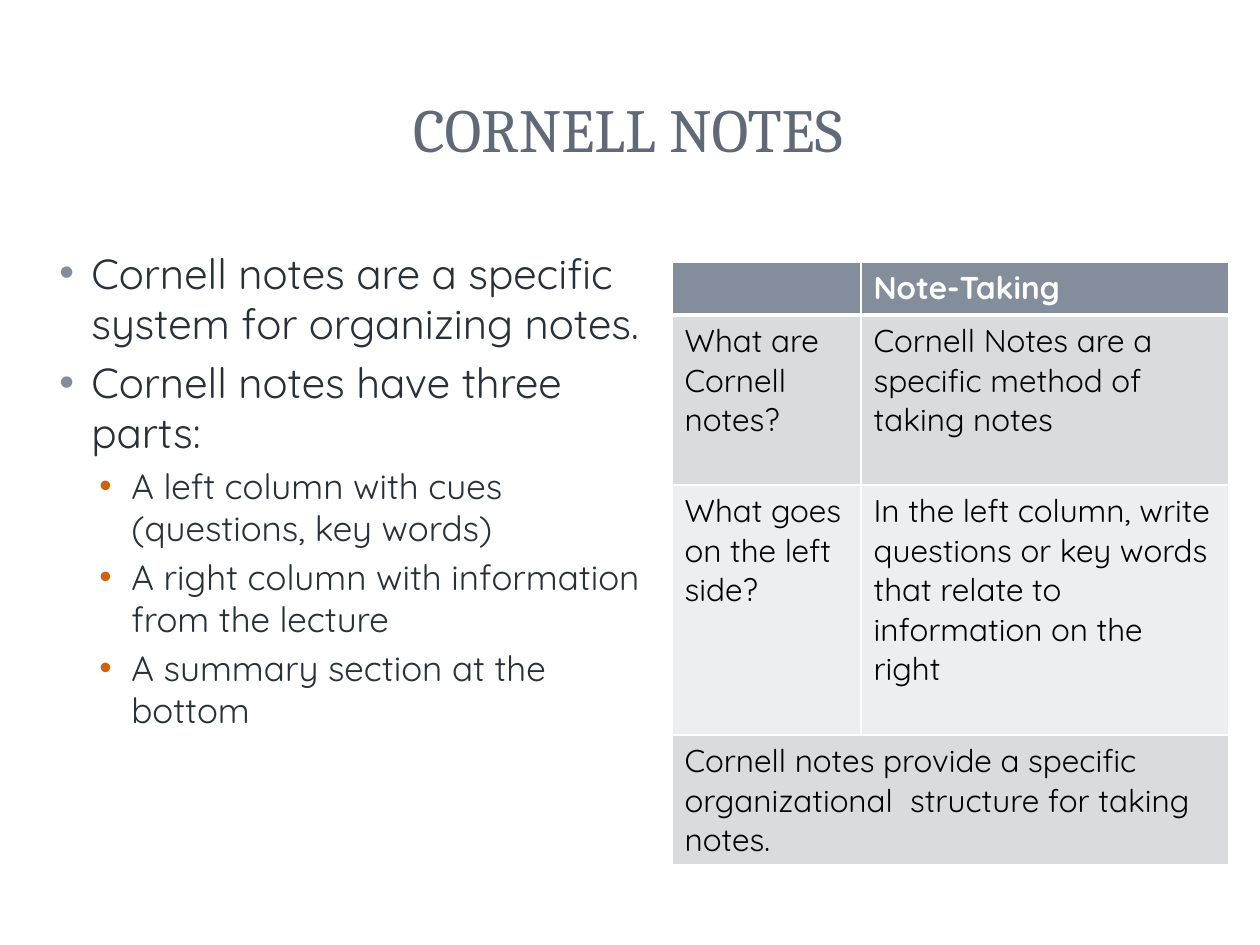
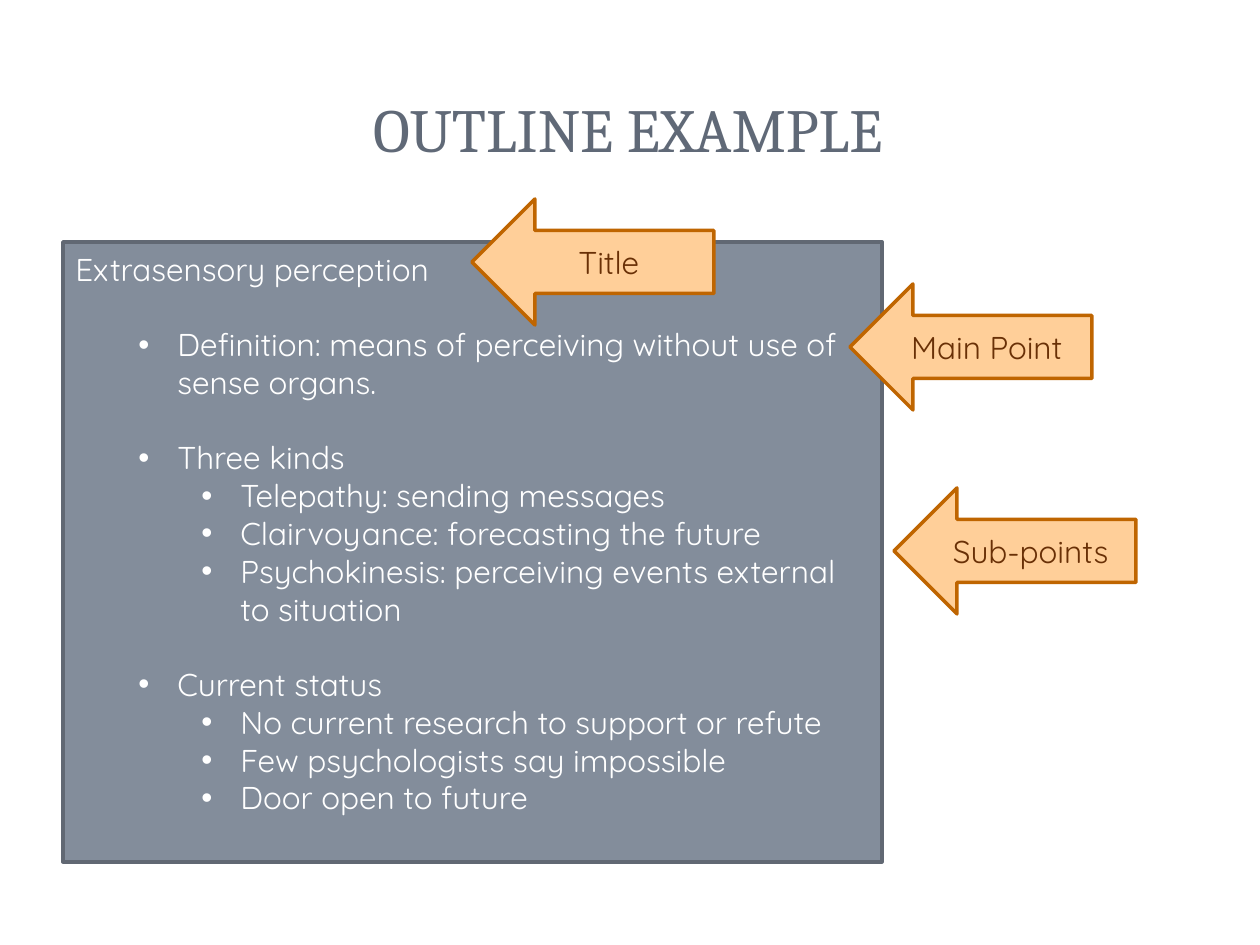
from lxml.etree import SubElement
from pptx import Presentation
from pptx.dml.color import RGBColor
from pptx.enum.shapes import MSO_SHAPE as Shape
from pptx.enum.text import MSO_ANCHOR as Anchor, PP_ALIGN as Align
from pptx.oxml.ns import qn
from pptx.util import Emu, Pt

PX = 914400 / 126
HEAD_FONT = "Cambria"
BODY_FONT = "Quicksand"
COLORS = {
    "white": "FFFFFF", "black": "000000", "title": "606977", "body": "283138",
    "slate": "838D9B", "slate_edge": "616873", "rust": "D2610C",
    "row_dark": "D9DBDE", "row_light": "EDEEEF",
    "arrow": "FFCF99", "arrow_edge": "BF6500", "arrow_text": "693006",
}
PAGE_BOX = (13, 14, 1235, 919)
BAND_BOX = (38, 38, 1184, 183)
TITLE_PANEL_BOX = (52, 52, 1155, 154)
TITLE_BOX = (59, 56, 1138, 144)


def px(length):
    return Emu(round(length * PX))


def color(name):
    return RGBColor.from_string(COLORS[name])


def add_run(paragraph, text, size, ink, font=BODY_FONT, bold=False):
    run = paragraph.add_run()
    run.text = text
    run.font.size = Pt(size)
    run.font.name = font
    run.font.bold = bold
    run.font.color.rgb = color(ink)


def next_paragraph(frame):
    return frame.add_paragraph() if frame.paragraphs[0].runs else frame.paragraphs[0]


def add_bullet(paragraph, left, hang, ink):
    props = paragraph._p.get_or_add_pPr()
    props.set("marL", str(px(left)))
    props.set("indent", str(-px(hang)))
    tint = SubElement(props, qn("a:buClr"))
    SubElement(tint, qn("a:srgbClr"), val=COLORS[ink])
    SubElement(props, qn("a:buFont"), typeface="Arial")
    SubElement(props, qn("a:buChar"), char="•")


def add_block(slide, kind, box, fill, edge=None):
    block = slide.shapes.add_shape(kind, *map(px, box))
    block.shadow.inherit = False
    block.fill.solid()
    block.fill.fore_color.rgb = color(fill)
    if edge:
        block.line.color.rgb = color(edge)
        block.line.width = Pt(2)
    else:
        block.line.fill.background()
    block.text_frame.word_wrap = True
    block.text_frame.vertical_anchor = Anchor.MIDDLE
    return block


def add_backdrop(slide):
    page = add_block(slide, Shape.ROUNDED_RECTANGLE, PAGE_BOX, "white")
    page.adjustments[0] = 0.02
    band = add_block(slide, Shape.RECTANGLE, BAND_BOX, "white")
    tint = band._element.spPr.find(qn("a:solidFill")).find(qn("a:srgbClr"))
    SubElement(tint, qn("a:alpha"), val="83000")
    add_block(slide, Shape.RECTANGLE, TITLE_PANEL_BOX, "white")


def add_titled_slide(deck, heading):
    slide = deck.slides.add_slide(deck.slide_layouts[5])
    title = slide.shapes.title
    add_backdrop(slide)
    slide.shapes._spTree.append(title._element)
    title.left, title.top, title.width, title.height = map(px, TITLE_BOX)
    frame = title.text_frame
    frame.vertical_anchor = Anchor.MIDDLE
    frame.paragraphs[0].alignment = Align.CENTER
    add_run(frame.paragraphs[0], heading, 35, "title", HEAD_FONT)
    return slide


def add_explanation(slide, box, points):
    styles = [(48, 24, "slate"), (88, 20, "rust")]
    frame = slide.shapes.add_textbox(*map(px, box)).text_frame
    frame.word_wrap = True
    for index, (level, text) in enumerate(points):
        left, size, dot = styles[level]
        point = next_paragraph(frame)
        point.level = level
        add_bullet(point, left, 32, dot)
        if index:
            point.space_before = Pt(size * 0.2)
        add_run(point, text, size, "body")


def set_borders(cell, bottom_width):
    props = cell._tc.get_or_add_tcPr()
    for index, side in enumerate(("lnL", "lnR", "lnT", "lnB")):
        width = bottom_width if side == "lnB" else 1
        line = props.makeelement(qn(f"a:{side}"), {"w": str(Pt(width))})
        fill = SubElement(line, qn("a:solidFill"))
        SubElement(fill, qn("a:srgbClr"), val=COLORS["white"])
        props.insert(index, line)


def add_sample_notes(slide, left, top, widths, heights, rows):
    sample = slide.shapes.add_table(
        len(rows), len(widths), px(left), px(top), px(sum(widths)), px(sum(heights))).table
    for column, width in zip(sample.columns, widths):
        column.width = px(width)
    for row, height in zip(sample.rows, heights):
        row.height = px(height)
    for r, texts in enumerate(rows):
        header = r == 0
        fill = "slate" if header else ("row_light", "row_dark")[r % 2]
        for c, text in enumerate(texts):
            cell = sample.cell(r, c)
            cell.fill.solid()
            cell.fill.fore_color.rgb = color(fill)
            set_borders(cell, 3 if header else 1)
            if text:
                add_run(cell.text_frame.paragraphs[0], text, 18,
                        "white" if header else "black", bold=header)
    summary = len(rows) - 1
    sample.cell(summary, 0).merge(sample.cell(summary, len(widths) - 1))


def add_outline(slide, box, entries):
    size, gap = 18, 21.5
    indents = {1: 102, 2: 165}
    frame = add_block(slide, Shape.RECTANGLE, box, "slate", "slate_edge").text_frame
    frame.margin_bottom = px(44)
    for level, text in entries:
        entry = next_paragraph(frame)
        entry.alignment = Align.LEFT
        entry.level = level
        if level:
            add_bullet(entry, indents[level], 39, "white")
        if level == 1:
            entry.space_before = Pt(gap)
        add_run(entry, text, size, "white")


def add_label_arrow(slide, left, top, label):
    arrow = add_block(slide, Shape.LEFT_ARROW, (left, top, 242, 126), "arrow", "arrow_edge")
    paragraph = arrow.text_frame.paragraphs[0]
    paragraph.alignment = Align.CENTER
    add_run(paragraph, label, 18, "arrow_text")


def build_cornell(deck):
    slide = add_titled_slide(deck, "CORNELL NOTES")
    add_explanation(slide, (31, 241, 652, 602), [
        (0, "Cornell notes are a specific system for organizing notes."),
        (0, "Cornell notes have three parts:"),
        (1, "A left column with cues (questions, key words)"),
        (1, "A right column with information from the lecture"),
        (1, "A summary section at the bottom"),
    ])
    add_sample_notes(slide, 672, 262, (189, 368), (53, 170, 250, 130), [
        ("", "Note-Taking"),
        ("What are Cornell notes?", "Cornell Notes are a specific method of taking notes"),
        ("What goes on the left side?",
         "In the left column, write questions or key words that relate to "
         "information on the right"),
        ("Cornell notes provide a specific organizational  structure for taking notes.", ""),
    ])


def build_outline(deck):
    slide = add_titled_slide(deck, "OUTLINE EXAMPLE")
    add_outline(slide, (63, 242, 819, 620), [
        (0, "Extrasensory perception"),
        (1, "Definition: means of perceiving without use of sense organs."),
        (1, "Three kinds"),
        (2, "Telepathy: sending messages"),
        (2, "Clairvoyance: forecasting the future"),
        (2, "Psychokinesis: perceiving events external to situation"),
        (1, "Current status"),
        (2, "No current research to support or refute"),
        (2, "Few psychologists say impossible"),
        (2, "Door open to future"),
    ])
    for left, top, label in [(472, 199, "Title"), (850, 284, "Main Point"),
                             (894, 488, "Sub-points")]:
        add_label_arrow(slide, left, top, label)


def main():
    deck = Presentation()
    deck.slide_width, deck.slide_height = px(1260), px(945)
    build_cornell(deck)
    build_outline(deck)
    deck.save("out.pptx")


if __name__ == "__main__":
    main()
